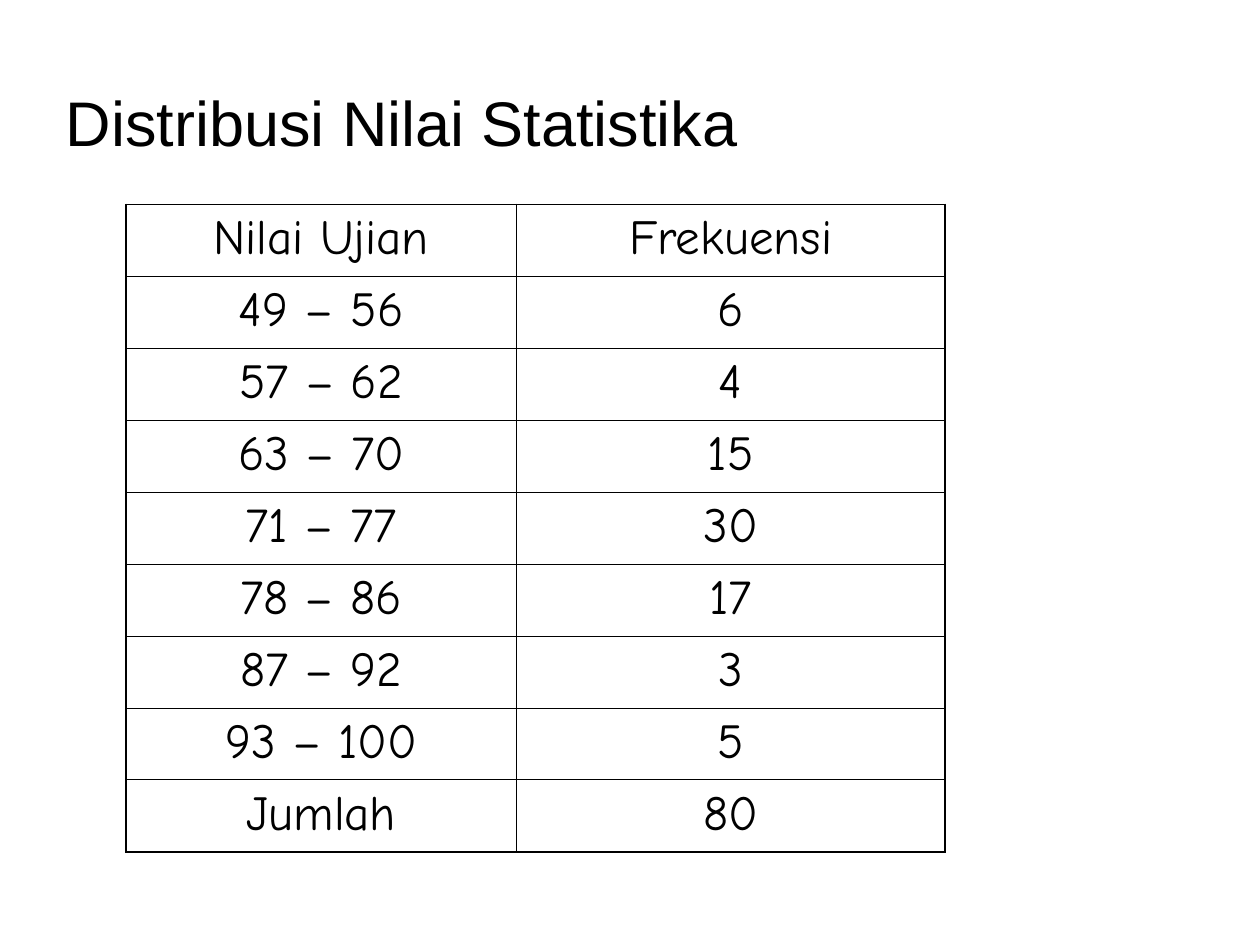
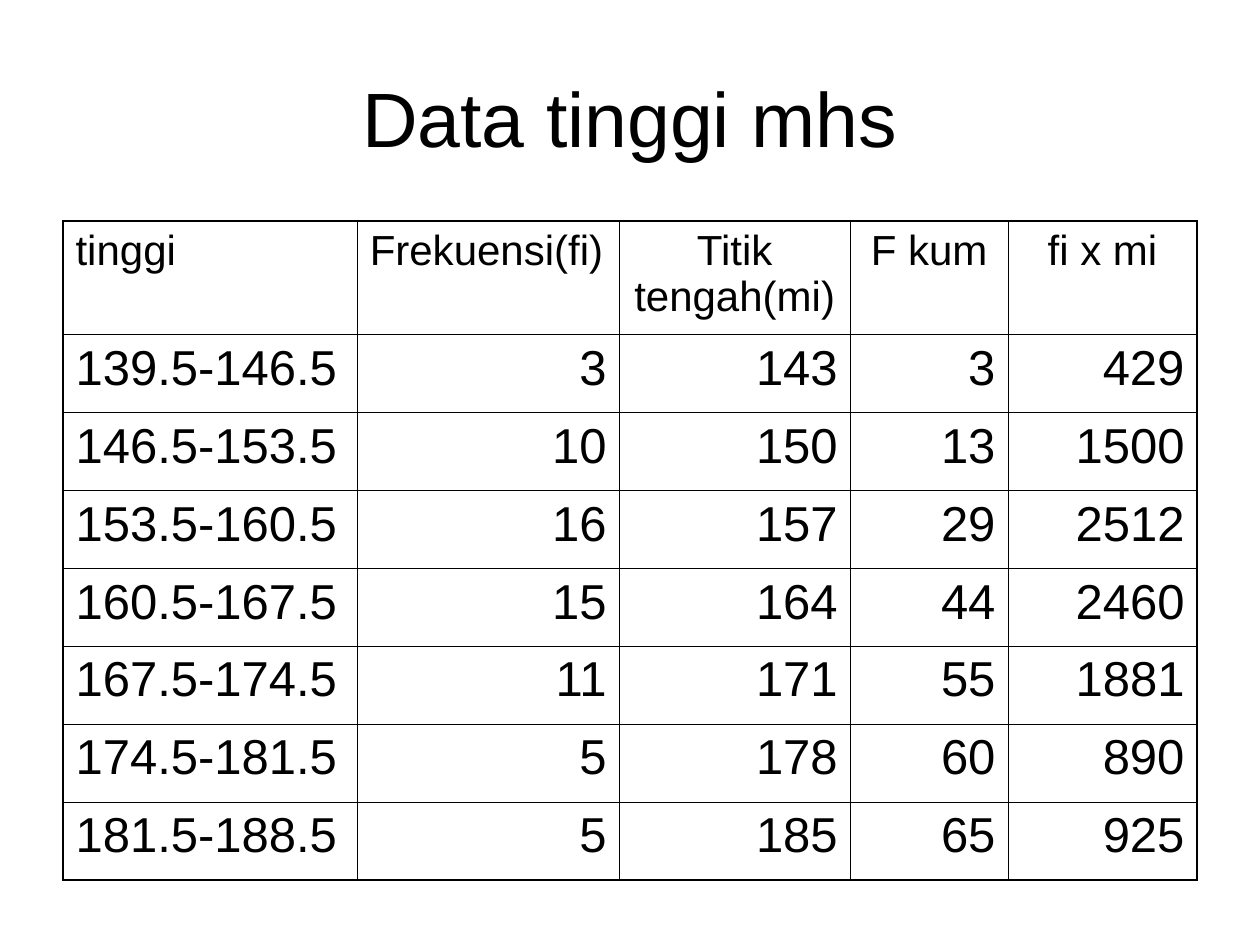
from lxml import etree
from pptx import Presentation
from pptx.dml.color import RGBColor
from pptx.enum import text
from pptx.oxml import ns
from pptx.util import Cm, Pt

HUES = {"ink": "000000", "paper": "FFFFFF"}
SANS, HAND = "Arial", "Comic Neue"
LEFT, MID, RIGHT = text.PP_ALIGN.LEFT, text.PP_ALIGN.CENTER, text.PP_ALIGN.RIGHT
THIN, THICK = Pt(0.45), Pt(1.08)

SCORES = [
    ("Nilai Ujian", "Frekuensi"),
    ("49 – 56", "6"),
    ("57 – 62", "4"),
    ("63 – 70", "15"),
    ("71 – 77", "30"),
    ("78 – 86", "17"),
    ("87 – 92", "3"),
    ("93 – 100", "5"),
    ("Jumlah", "80"),
]
HEIGHTS = [
    ("tinggi", "Frekuensi(fi)", "Titik tengah(mi)", "F kum", "fi x mi"),
    ("139.5-146.5", "3", "143", "3", "429"),
    ("146.5-153.5", "10", "150", "13", "1500"),
    ("153.5-160.5", "16", "157", "29", "2512"),
    ("160.5-167.5", "15", "164", "44", "2460"),
    ("167.5-174.5", "11", "171", "55", "1881"),
    ("174.5-181.5", "5", "178", "60", "890"),
    ("181.5-188.5", "5", "185", "65", "925"),
]


def assign(item, **values):
    for name, value in values.items():
        setattr(item, name, value)


def write(frame, words, size, face, align):
    line = frame.paragraphs[0]
    line.alignment = align
    run = line.add_run()
    run.text = words
    assign(run.font, size=Pt(size), name=face, bold=False)
    run.font.color.rgb = RGBColor.from_string(HUES["ink"])


def add_title(slide, box, words, size, align):
    title = slide.shapes.title
    left, top, width, height = map(Cm, box)
    assign(title, left=left, top=top, width=width, height=height)
    assign(title.text_frame, word_wrap=True, auto_size=text.MSO_AUTO_SIZE.NONE,
           vertical_anchor=text.MSO_ANCHOR.MIDDLE)
    write(title.text_frame, words, size, SANS, align)


def add_edges(cell, outer):
    props = cell._tc.get_or_add_tcPr()
    for side in "LRTB":
        width = THICK if side in outer else THIN
        edge = etree.SubElement(props, ns.qn(f"a:ln{side}"), w=str(width))
        fill = etree.SubElement(edge, ns.qn("a:solidFill"))
        etree.SubElement(fill, ns.qn("a:srgbClr"), val=HUES["ink"])


def add_grid(slide, spot, widths, depths, rows, style):
    left, top = spot
    box = map(Cm, (left, top, sum(widths), sum(depths)))
    grid = slide.shapes.add_table(len(rows), len(widths), *box).table
    assign(grid, first_row=False, horz_banding=False)
    for col, width in zip(grid.columns, widths):
        col.width = Cm(width)
    for row, depth in zip(grid.rows, depths):
        row.height = Cm(depth)
    for r, row in enumerate(rows):
        for c, words in enumerate(row):
            cell = grid.cell(r, c)
            ends = {"L": c == 0, "R": c == len(row) - 1,
                    "T": r == 0, "B": r == len(rows) - 1}
            add_edges(cell, [side for side, last in ends.items() if last])
            cell.fill.background()
            write(cell.text_frame, words, *style(r, c))


def score_style(r, c):
    return 28, HAND, MID


def height_style(r, c):
    if r == 0:
        return 24, SANS, LEFT if c < 2 else MID
    return 28, SANS, RIGHT if c else LEFT


def add_slide(deck):
    slide = deck.slides.add_slide(deck.slide_layouts[5])
    fill = slide.background.fill
    fill.solid()
    fill.fore_color.rgb = RGBColor.from_string(HUES["paper"])
    return slide


def score_slide(deck):
    slide = add_slide(deck)
    add_title(slide, (1.07, 1.27, 21.13, 2.34), "Distribusi Nilai Statistika", 36, LEFT)
    add_grid(slide, (2.54, 4.12), [7.87, 8.64], [1.45] * len(SCORES),
             SCORES, score_style)


def height_slide(deck):
    slide = add_slide(deck)
    add_title(slide, (1.27, 0.76, 22.86, 3.18), "Data tinggi mhs", 44, MID)
    add_grid(slide, (1.27, 4.45), [5.93, 5.28, 4.66, 3.18, 3.81],
             [2.3] + [1.57] * (len(HEIGHTS) - 1), HEIGHTS, height_style)


def main():
    deck = Presentation()
    assign(deck, slide_width=Cm(25.4), slide_height=Cm(19.05))
    score_slide(deck)
    height_slide(deck)
    deck.save("out.pptx")


if __name__ == "__main__":
    main()
